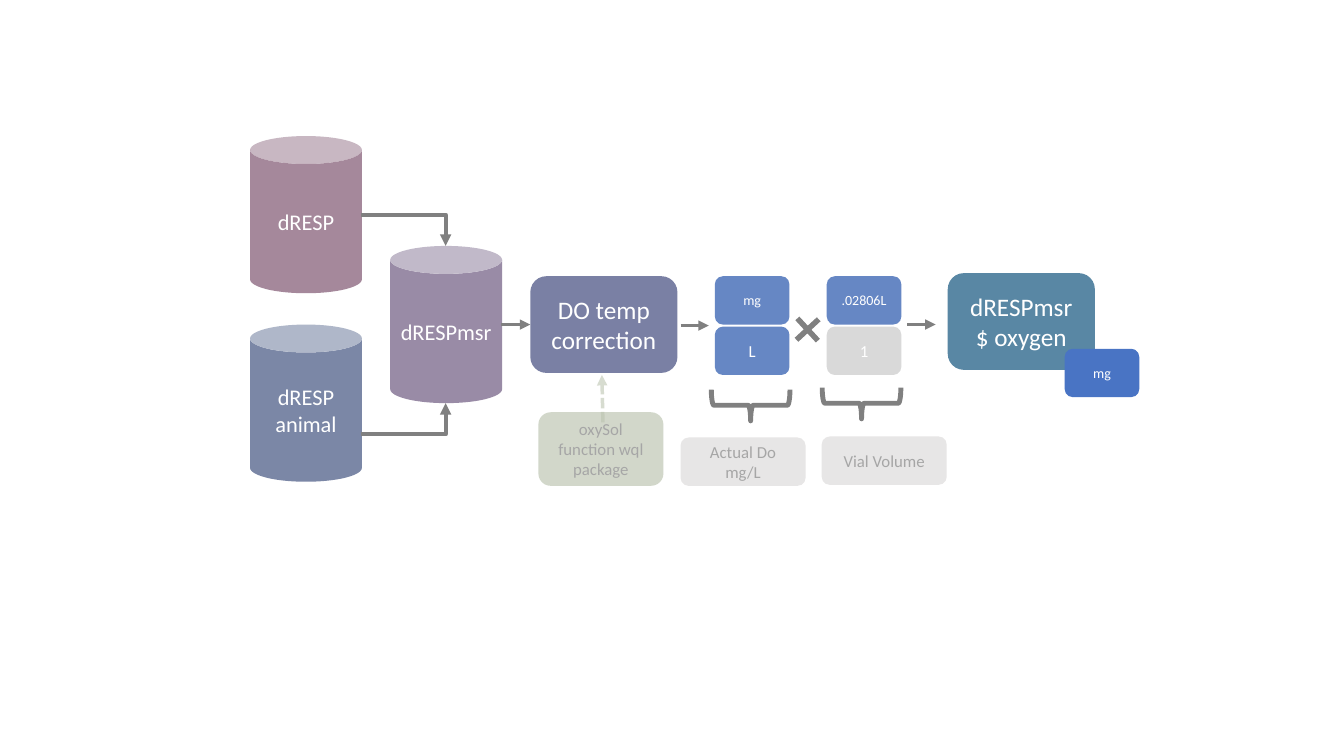
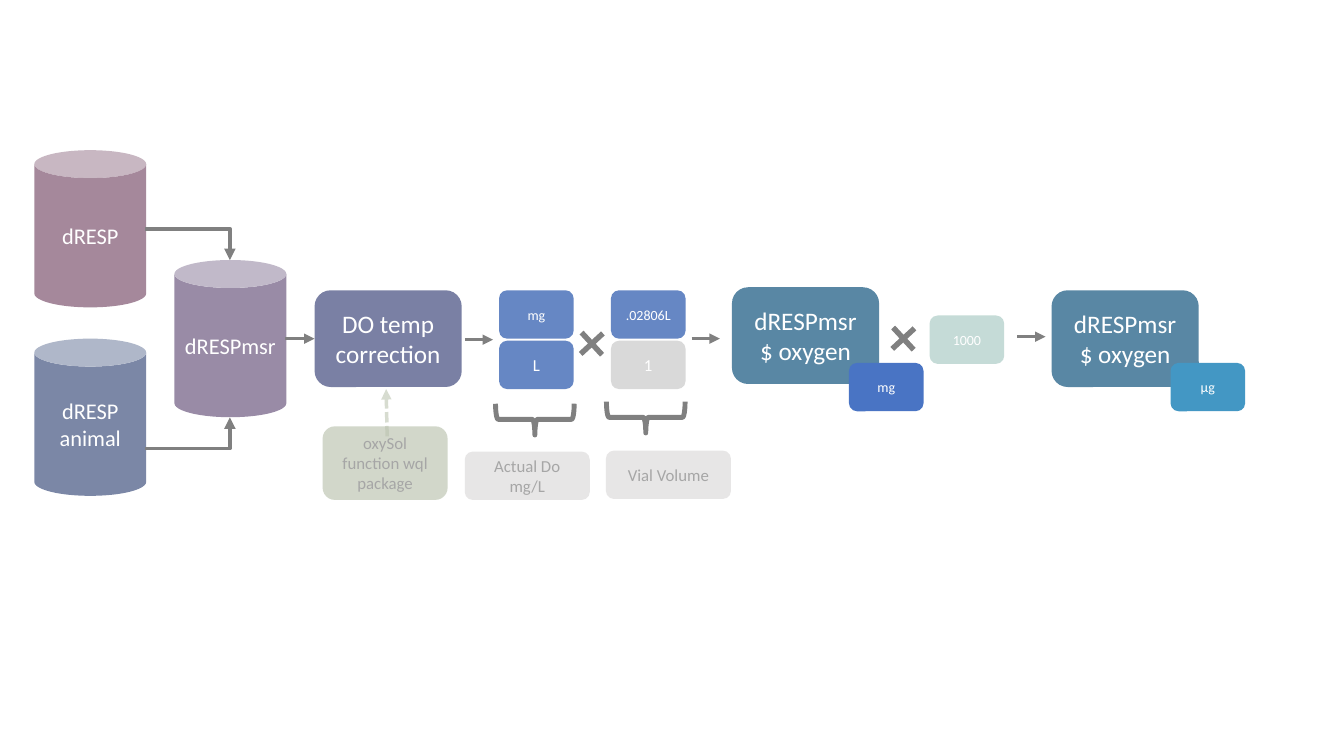
from lxml.etree import SubElement
from pptx import Presentation
from pptx.dml.color import RGBColor
from pptx.enum.dml import MSO_LINE
from pptx.enum.shapes import MSO_CONNECTOR, MSO_SHAPE
from pptx.enum.text import MSO_ANCHOR, PP_ALIGN
from pptx.oxml.ns import qn
from pptx.util import Inches, Pt

COLORS = {
    "white": "FFFFFF", "line": "808080", "label": "A6A6A6", "pale": "E7E6E6",
    "measure": "998BA6", "resp": "7F5671", "animal": "7B87A6", "temp": "7A80A4",
    "factor": "6687C4", "unit": "D9D9D9", "sage": "BAC3AE", "oxygen": "5987A4",
    "mg": "4974C4", "scale": "6FA69B", "micro": "4397C4",
}
ALPHA = {"resp": 70, "scale": 40}
KINDS = {
    "can": (MSO_SHAPE.CAN, 1.11, 1.56, 16, "white"),
    "step": (MSO_SHAPE.ROUNDED_RECTANGLE, 1.46, 0.96, 18, "white"),
    "small": (MSO_SHAPE.ROUNDED_RECTANGLE, 0.74, 0.48, 10, "white"),
    "digit": (MSO_SHAPE.ROUNDED_RECTANGLE, 0.74, 0.48, 12, "white"),
    "label": (MSO_SHAPE.ROUNDED_RECTANGLE, 1.24, 0.48, 12, "label"),
    "source": (MSO_SHAPE.ROUNDED_RECTANGLE, 1.24, 0.73, 12, "label"),
    "brace": (MSO_SHAPE.LEFT_BRACE, 0.31, 0.78, 12, "white"),
    "times": (MSO_SHAPE.CROSS, 0.3, 0.3, 12, "white"),
}


def add_item(s, kind, x, y, color, text="", alpha=None):
    preset, w, h, size, ink = KINDS[kind]
    sp = s.shapes.add_shape(preset, Inches(x), Inches(y), Inches(w), Inches(h))
    sp.shadow.inherit = False
    rgb = RGBColor.from_string(COLORS[color])
    if kind == "brace":
        sp.rotation = 270
        sp.fill.background()
        sp.line.color.rgb = rgb
        sp.line.width = Pt(3.5)
        return sp
    sp.fill.solid()
    sp.fill.fore_color.rgb = rgb
    sp.line.fill.background()
    alpha = alpha or ALPHA.get(color)
    if alpha:
        clr = sp._element.spPr.find(qn("a:solidFill"))[0]
        SubElement(clr, qn("a:alpha"), val=str(alpha * 1000))
    if kind == "times":
        sp.rotation = 47.3
        sp.adjustments[0] = 0.41
        return sp
    tf = sp.text_frame
    tf.word_wrap = True
    tf.vertical_anchor = MSO_ANCHOR.MIDDLE
    tf.text = text
    for p in tf.paragraphs:
        p.alignment = PP_ALIGN.CENTER
        font = p.runs[0].font
        for name, value in {"name": "Calibri", "size": Pt(size)}.items():
            setattr(font, name, value)
        font.color.rgb = RGBColor.from_string(COLORS[ink])
    return sp


def add_arrow(s, x1, y1, x2, y2, color="line", width=2.5, elbow=False, dash=None, alpha=None):
    kind = MSO_CONNECTOR.ELBOW if elbow else MSO_CONNECTOR.STRAIGHT
    c = s.shapes.add_connector(kind, Inches(x1), Inches(y1), Inches(x2), Inches(y2))
    c.line.color.rgb = RGBColor.from_string(COLORS[color])
    c.line.width = Pt(width)
    if dash:
        c.line.dash_style = dash
    spPr = c._element.spPr
    if elbow:
        spPr.find(qn("a:prstGeom")).set("prst", "bentConnector2")
    ln = spPr.find(qn("a:ln"))
    if alpha:
        SubElement(ln.find(qn("a:solidFill"))[0], qn("a:alpha"), val=str(alpha * 1000))
    SubElement(ln, qn("a:tailEnd"), type="triangle")
    SubElement(spPr, qn("a:effectLst"))
    return c


FLOW = [
    ("can", 3.87, 2.44, "measure", "dRESPmsr"),
    ("can", 2.48, 1.35, "resp", "dRESP"),
    ("can", 2.48, 3.22, "animal", "dRESP\nanimal"),
    ("digit", 7.09, 3.24, "factor", "L"),
    ("small", 8.2, 2.74, "factor", ".02806L"),
    ("digit", 8.2, 3.24, "unit", "1"),
    ("small", 7.09, 2.74, "factor", "mg"),
    ("brace", 7.29, 3.63, "line"),
    ("label", 6.75, 4.34, "pale", "Actual Do mg/L"),
    ("brace", 8.39, 3.61, "line"),
    ("label", 8.15, 4.33, "pale", "Vial Volume"),
    ("source", 5.34, 4.09, "sage", "oxySol function wql package", 65),
    ("times", 7.86, 3.12, "line"),
    ("step", 9.4, 2.71, "oxygen", "dRESPmsr $ oxygen"),
    ("small", 10.56, 3.46, "mg", "mg"),
]
CONVERSION = [
    ("times", 8.81, 3.21, "line"),
    ("small", 9.22, 3.13, "scale", "1000"),
    ("step", 10.43, 2.88, "oxygen", "dRESPmsr $ oxygen"),
    ("small", 11.61, 3.6, "micro", "µg"),
]
dashed = {"color": "sage", "dash": MSO_LINE.SQUARE_DOT, "alpha": 56}
bent = {"width": 2.75, "elbow": True}
ARROWS = [
    (3.58, 2.13, 4.42, 2.44, bent),
    (3.58, 4.31, 4.42, 4, bent),
    (6.75, 3.23, 7.03, 3.23, {}),
    (5.98, 4.19, 5.97, 3.72, dashed),
    (9, 3.22, 9.28, 3.22, {}),
]

prs = Presentation()
prs.slide_width, prs.slide_height = Inches(13.33), Inches(7.5)

for dx, dy, extras in ((0, 0, []), (-2.14, 0.14, CONVERSION)):
    s = prs.slides.add_slide(prs.slide_layouts[6])
    for kind, x, y, *look in FLOW:
        add_item(s, kind, x + dx, y + dy, *look)
    temp = add_item(s, "step", 5.26 + dx, 2.74 + dy, "temp", "DO temp correction")
    for x1, y1, x2, y2, look in ARROWS:
        add_arrow(s, x1 + dx, y1 + dy, x2 + dx, y2 + dy, **look)
    add_arrow(s, 4.97 + dx, 3.22 + dy, 5.26 + dx, 3.22 + dy).end_connect(temp, 1)
    for item in extras:
        add_item(s, *item)
    if extras:
        add_arrow(s, 10.09, 3.34, 10.37, 3.34)

prs.save("out.pptx")
